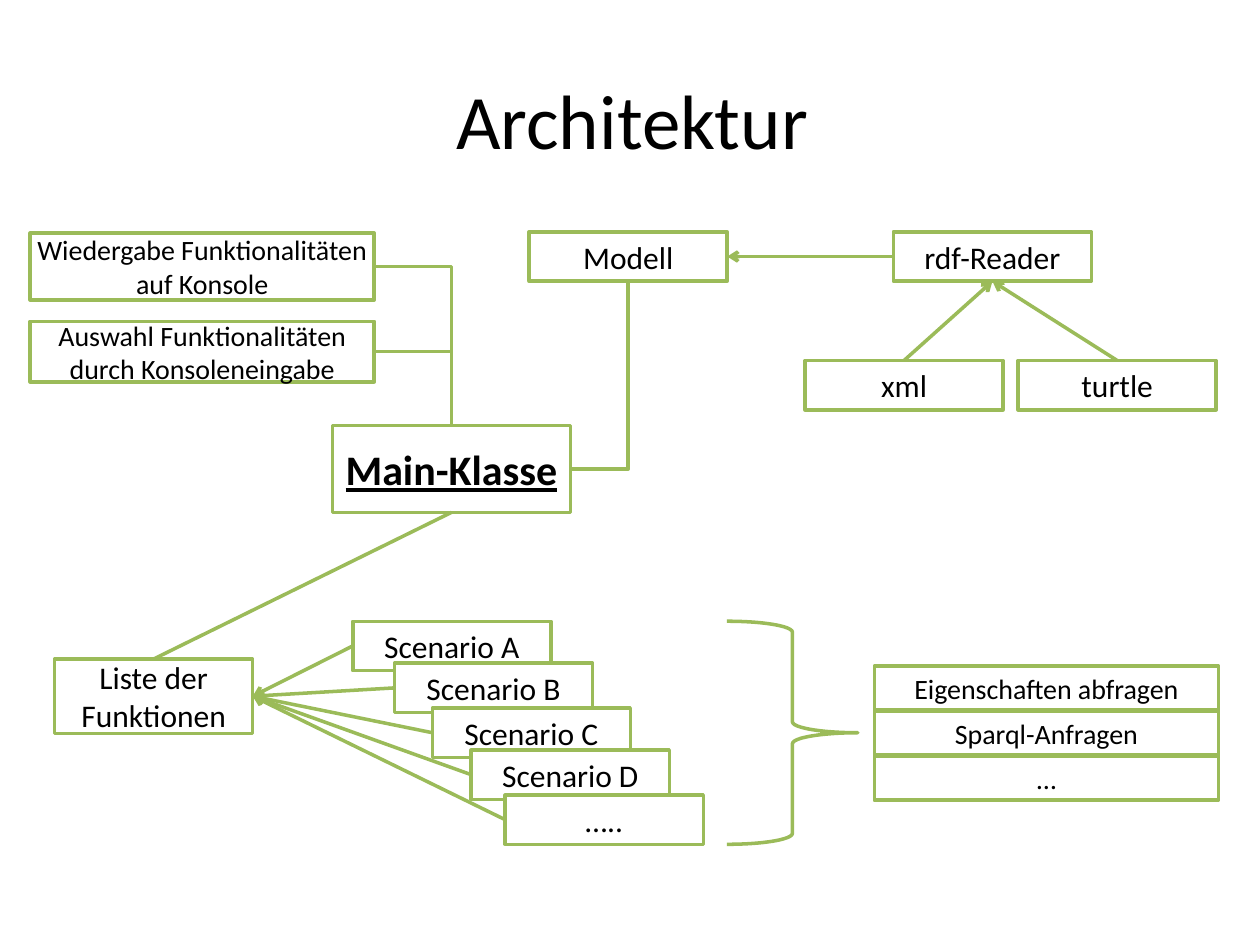
from lxml.etree import SubElement
from pptx import Presentation
from pptx.dml.color import RGBColor
from pptx.enum.shapes import MSO_CONNECTOR as Link, MSO_SHAPE as Shape
from pptx.enum.text import MSO_ANCHOR as Anchor, PP_ALIGN as Align
from pptx.oxml.ns import qn
from pptx.util import Pt

GREEN, WHITE, BLACK = "9BBB59", "FFFFFF", "000000"
TOP, LEFT, BOTTOM, RIGHT = range(4)  # connection sites of a rectangle
SMALL = (113.2, 28.2)
WIDE = 196.6


def color(hex_text):
    return RGBColor.from_string(hex_text)


def write(frame, text, size=18, bold=None, underline=None):
    frame.word_wrap = True
    frame.vertical_anchor = Anchor.MIDDLE
    para = frame.paragraphs[0]
    para.alignment = Align.CENTER
    span = para.add_run()
    span.text = text
    font = span.font
    font.name, font.size = "Calibri", Pt(size)
    font.bold, font.underline = bold, underline
    font.color.rgb = color(BLACK)


def outline(item):
    item.line.color.rgb = color(GREEN)
    item.line.width = Pt(2)


def add_outlined(page, kind, left, top, width, height):
    shape = page.shapes.add_shape(kind, Pt(left), Pt(top), Pt(width), Pt(height))
    shape.shadow.inherit = False
    shape.fill.solid()
    shape.fill.fore_color.rgb = color(WHITE)
    outline(shape)
    return shape


def add_box(page, text, left, top, width=SMALL[0], height=SMALL[1], **text_format):
    box = add_outlined(page, Shape.RECTANGLE, left, top, width, height)
    frame = box.text_frame
    frame.margin_left = frame.margin_right = frame.margin_top = frame.margin_bottom = 0
    write(frame, text, **text_format)
    return box


def connect(page, start, start_site, end, end_site, arrow=False, bent=False):
    """Join two boxes; a bent line runs level first, then upright."""
    kind = Link.ELBOW if bent else Link.STRAIGHT
    line = page.shapes.add_connector(kind, 0, 0, 0, 0)
    line.begin_connect(start, start_site)
    line.end_connect(end, end_site)
    outline(line)
    properties = line._element.spPr
    if bent:
        properties.find(qn("a:prstGeom")).set("prst", "bentConnector2")
    if arrow:
        SubElement(properties.find(qn("a:ln")), qn("a:tailEnd"), type="arrow")
    SubElement(properties, qn("a:effectLst"))


def add_title(page, text):
    title = page.shapes.title
    title.left, title.top, title.width, title.height = Pt(37.4), Pt(23), Pt(648), Pt(90)
    write(title.text_frame, text, size=44)


def add_console_and_model(page, main_class):
    output = add_box(page, "Wiedergabe Funktionalitäten auf Konsole",
                     17.3, 133.2, WIDE, 38.2, size=16)
    choice = add_box(page, "Auswahl Funktionalitäten durch Konsoleneingabe",
                     17.3, 183.6, WIDE, 34.6, size=16)
    model = add_box(page, "Modell", 302.4, 132.5)
    reader = add_box(page, "rdf-Reader", 510.5, 132.5)
    for console in (choice, output):
        connect(page, console, RIGHT, main_class, TOP, bent=True)
    connect(page, main_class, RIGHT, model, BOTTOM, bent=True)
    connect(page, reader, LEFT, model, RIGHT, arrow=True)
    for name, left in (("xml", 460), ("turtle", 581.8)):
        source = add_box(page, name, left, 206)
        connect(page, source, TOP, reader, BOTTOM, arrow=True)


def add_scenarios(page, main_class):
    functions = add_box(page, "Liste der Funktionen", 31.2, 376.6, SMALL[0], 42.5)
    connect(page, main_class, BOTTOM, functions, TOP)
    places = {
        "Scenario A": (201.6, 355),
        "Scenario B": (225.4, 379),
        "Scenario C": (247, 404.6),
        "Scenario D": (269.3, 428.6),
        "…..": (288.7, 454.3),
    }
    scenarios = [add_box(page, name, *place) for name, place in places.items()]
    for scenario in scenarios:
        connect(page, scenario, LEFT, functions, RIGHT, arrow=True)


def add_scenario_contents(page):
    add_outlined(page, Shape.RIGHT_BRACE, 415.4, 355, 74.9, 127.5)
    for row, text in enumerate(("Eigenschaften abfragen", "Sparql-Anfragen", "…")):
        add_box(page, text, 499.7, 380.5 + row * 25.8, WIDE, 25.2, size=16)


def main():
    deck = Presentation()
    deck.slide_width, deck.slide_height = Pt(720), Pt(540)
    page = deck.slides.add_slide(deck.slide_layouts[5])
    add_title(page, "Architektur")
    main_class = add_box(page, "Main-Klasse", 190, 243.2, 136, 49.6,
                         size=24, bold=True, underline=True)
    add_console_and_model(page, main_class)
    add_scenarios(page, main_class)
    add_scenario_contents(page)
    deck.save("out.pptx")


if __name__ == "__main__":
    main()
